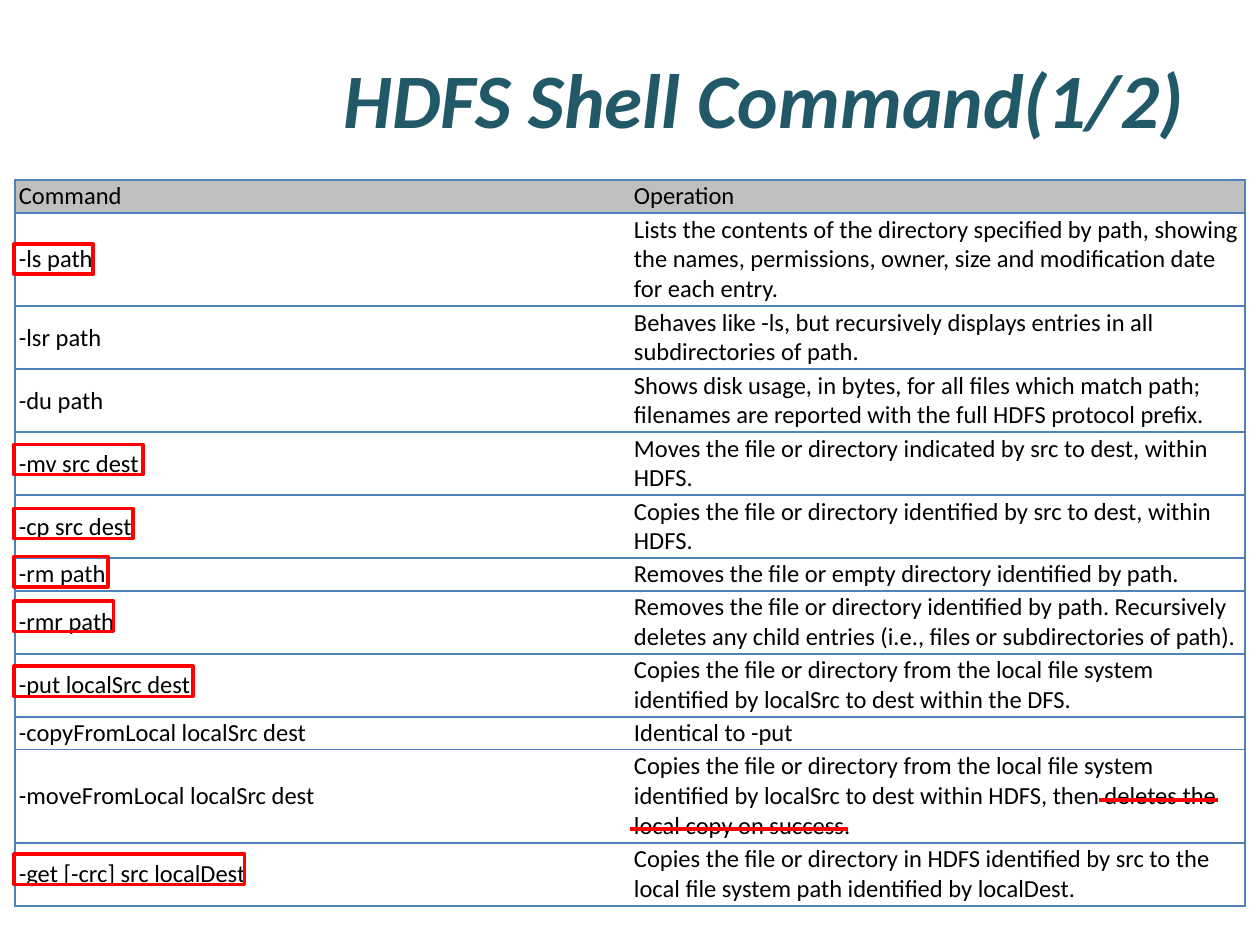
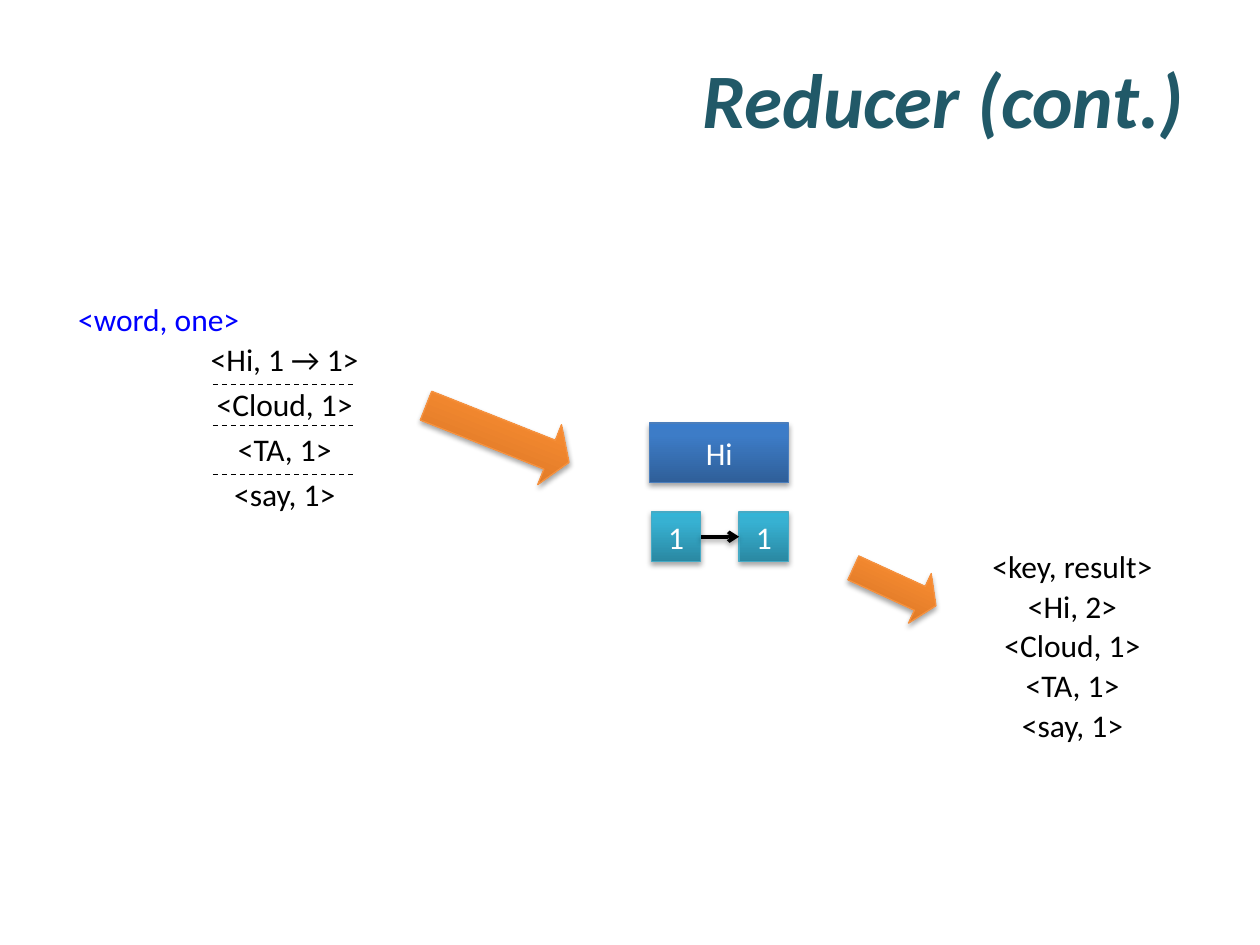
"""Builds two slides: a table of HDFS shell commands and a reducer diagram."""
from lxml.etree import SubElement as add_element
from pptx import Presentation
from pptx.dml.color import RGBColor
from pptx.enum.dml import MSO_LINE_DASH_STYLE as Dash
from pptx.enum.shapes import MSO_CONNECTOR as Connector, MSO_SHAPE as Shape
from pptx.enum.text import MSO_ANCHOR as Anchor, PP_ALIGN as Align
from pptx.oxml import parse_xml
from pptx.oxml.ns import nsdecls, qn
from pptx.util import Cm, Pt

FONT = "Calibri"
TITLE, BLACK, WHITE, RED, BLUE = "215968", "000000", "FFFFFF", "FF0000", "0000FF"
HEADER_FILL, TABLE_BORDER = "BFBFBF", "4F81BD"
ORANGE_BLEND = ("CC6E20", "FF9034", "FF9136", "F69240")
BLUE_BLEND = ("2F5F99", "3D7CC7", "3A7CCB", "4B7EBC")
TEAL_BLEND = ("2A88A2", "37B1D2", "34B4D6", "46AAC5")

ROW_HEIGHTS = {1: 0.66, 2: 1.27, 3: 1.88}
COMMANDS = [
    ("Command", "Operation", 1),
    ("-ls path", "Lists the contents of the directory specified by path, showing the names, "
     "permissions, owner, size and modification date for each entry.", 3),
    ("-lsr path", "Behaves like -ls, but recursively displays entries in all "
     "subdirectories of path.", 2),
    ("-du path", "Shows disk usage, in bytes, for all files which match path; "
     "filenames are reported with the full HDFS protocol prefix.", 2),
    ("-mv src dest", "Moves the file or directory indicated by src to dest, within HDFS.", 2),
    ("-cp src dest", "Copies the file or directory identified by src to dest, within HDFS.", 2),
    ("-rm path", "Removes the file or empty directory identified by path.", 1),
    ("-rmr path", "Removes the file or directory identified by path. Recursively deletes "
     "any child entries (i.e., files or subdirectories of path).", 2),
    ("-put localSrc dest", "Copies the file or directory from the local file system "
     "identified by localSrc to dest within the DFS.", 2),
    ("-copyFromLocal localSrc dest", "Identical to -put", 1),
    ("-moveFromLocal localSrc dest", "Copies the file or directory from the local file system "
     "identified by localSrc to dest within HDFS, then deletes the local copy on success.", 3),
    ("-get [-crc] src localDest", "Copies the file or directory in HDFS identified by src "
     "to the local file system path identified by localDest.", 2),
]
HIGHLIGHTS = [(4.92, 1.6), (8.96, 2.6), (10.25, 2.4), (11.22, 1.9),
              (12.12, 2.01), (13.43, 3.61), (17.22, 4.65)]
MAPPED_PAIRS = [("<Hi, 1 → 1>", 3.53), ("<Cloud, 1>", 3.3), ("<TA, 1>", 2.41), ("<say, 1>", 2.57)]
REDUCED_PAIRS = [("<key, result>", 3.78), ("<Hi, 2>", 2.34), ("<Cloud, 1>", 3.3),
                 ("<TA, 1>", 2.41), ("<say, 1>", 2.57)]


def color(value):
    """Turn a hex string into a colour."""
    return RGBColor.from_string(value)


def write(frame, text, size=18, fill=BLACK, bold=False, italic=False, align=Align.LEFT):
    """Put formatted text into the first paragraph of a frame."""
    para = frame.paragraphs[0]
    para.alignment = align
    span = para.add_run()
    span.text = text
    font = span.font
    font.name, font.size, font.bold, font.italic = FONT, Pt(size), bold, italic
    font.color.rgb = color(fill)


def shadow_xml(alpha, distance):
    """Return a soft shadow that falls straight down."""
    return parse_xml(
        f'<a:effectLst {nsdecls("a")}><a:outerShdw blurRad="{Pt(3.1)}" dist="{Pt(distance)}" '
        f'dir="5400000" rotWithShape="0"><a:srgbClr val="{BLACK}"><a:alpha val="{alpha}000"/>'
        '</a:srgbClr></a:outerShdw></a:effectLst>')


def blend_xml(colors):
    """Return a gradient that runs from the bottom up."""
    stops = "".join(f'<a:gs pos="{place}000"><a:srgbClr val="{value}"/></a:gs>'
                    for place, value in zip((0, 80, 100), colors))
    return parse_xml(f'<a:gradFill {nsdecls("a")} rotWithShape="1"><a:gsLst>{stops}</a:gsLst>'
                     '<a:lin ang="16200000" scaled="0"/></a:gradFill>')


def edge_xml(side, visible):
    """Return one cell border."""
    paint = f'<a:solidFill><a:srgbClr val="{TABLE_BORDER}"/></a:solidFill>' if visible else "<a:noFill/>"
    return parse_xml(f'<a:ln{side} {nsdecls("a")} w="{Pt(1)}">{paint}</a:ln{side}>')


class SlideBuilder:
    """Holds the deck, its style and the current page."""

    def __init__(self):
        """Open an empty 4:3 deck."""
        self.deck = Presentation()
        self.deck.slide_width, self.deck.slide_height = Cm(25.4), Cm(19.05)
        self.page = None

    def start_page(self, title):
        """Add a blank page with its title."""
        self.page = self.deck.slides.add_slide(self.deck.slide_layouts[6])
        box = self.page.shapes.add_textbox(Cm(1.27), Cm(0.76), Cm(22.86), Cm(2.41))
        box.text_frame.word_wrap = True
        box.text_frame.vertical_anchor = Anchor.MIDDLE
        write(box.text_frame, title, size=44, fill=TITLE, bold=True, italic=True, align=Align.RIGHT)

    def label(self, text, center, top, width, fill=BLACK):
        """Add a one-line label centred on a given place."""
        box = self.page.shapes.add_textbox(Cm(center - width / 2), Cm(top), Cm(width), Cm(1.02))
        box.text_frame.word_wrap = False
        write(box.text_frame, text, fill=fill, align=Align.CENTER)

    def outline(self, left, top, width, height):
        """Add a hollow red frame."""
        frame = self.page.shapes.add_shape(Shape.RECTANGLE, Cm(left), Cm(top), Cm(width), Cm(height))
        frame.shadow.inherit = False
        frame.fill.background()
        frame.line.color.rgb = color(RED)
        frame.line.width = Pt(2)

    def glossy(self, kind, left, top, width, height, blend, text=None):
        """Add a shape with a gradient and a shadow."""
        shape = self.page.shapes.add_shape(kind, Cm(left), Cm(top), Cm(width), Cm(height))
        *stops, edge = blend
        shape.line.color.rgb = color(edge)
        shape.line.width = Pt(0.75)
        properties = shape.element.spPr
        properties.find(qn("a:ln")).addprevious(blend_xml(stops))
        properties.append(shadow_xml(35, 1.8))
        if text:
            shape.text_frame.vertical_anchor = Anchor.MIDDLE
            write(shape.text_frame, text, fill=WHITE, align=Align.CENTER)
        return shape

    def block_arrow(self, left, top, width, height, angle):
        """Add a tilted orange arrow."""
        arrow = self.glossy(Shape.RIGHT_ARROW, left, top, width, height, ORANGE_BLEND)
        arrow.adjustments[0], arrow.adjustments[1] = 0.48, 0.323
        arrow.rotation = angle

    def rule(self, left, right, level, stroke=BLACK, width=0.75, dash=None, arrow=False):
        """Add a horizontal line, with an arrowhead and shadow if asked."""
        line = self.page.shapes.add_connector(
            Connector.STRAIGHT, Cm(left), Cm(level), Cm(right), Cm(level))
        line.line.color.rgb = color(stroke)
        line.line.width = Pt(width)
        if dash:
            line.line.dash_style = dash
        properties = line.element.spPr
        if arrow:
            add_element(properties.find(qn("a:ln")), qn("a:tailEnd"), type="arrow")
            properties.append(shadow_xml(38, 1.6))
        else:
            add_element(properties, qn("a:effectLst"))

    def table(self, rows, left, top, column_width):
        """Add a two-column table whose rows give both texts and a line count."""
        heights = [ROW_HEIGHTS[lines] for *_, lines in rows]
        table = self.page.shapes.add_table(len(rows), 2, Cm(left), Cm(top),
                                           Cm(2 * column_width), Cm(sum(heights))).table
        table.first_row = table.horz_banding = False
        for column in table.columns:
            column.width = Cm(column_width)
        for index, (*texts, _) in enumerate(rows):
            table.rows[index].height = Cm(heights[index])
            for side, text in enumerate(texts):
                self.cell(table.cell(index, side), text, WHITE if index else HEADER_FILL,
                          "RTB" if side else "LTB")

    def cell(self, cell, text, fill, edges):
        """Fill one table cell and draw its borders."""
        cell.margin_left = cell.margin_right = Cm(0.08)
        cell.margin_top = cell.margin_bottom = Cm(0.03)
        cell.vertical_anchor = Anchor.MIDDLE
        cell.fill.solid()
        cell.fill.fore_color.rgb = color(fill)
        write(cell.text_frame, text, size=14)
        properties = cell._tc.get_or_add_tcPr()
        for place, side in enumerate("LRTB"):
            properties.insert(place, edge_xml(side, side in edges))


def build_commands(builder):
    """Build the page of shell commands."""
    builder.start_page("HDFS Shell Command(1/2)")
    builder.table(COMMANDS, 0.3, 3.63, 12.4)
    for top, width in HIGHLIGHTS:
        builder.outline(0.28, top, width, 0.61)
    for left, right, level in [(22.15, 24.56, 16.13), (12.7, 17.1, 16.72)]:
        builder.rule(left, right, level, stroke=RED, width=2.25)


def build_reducer(builder):
    """Build the page that shows how pairs are reduced."""
    builder.start_page("Reducer (cont.)")
    builder.label("<word, one>", 3.2, 5.92, 3.81, fill=BLUE)
    for index, (text, width) in enumerate(MAPPED_PAIRS):
        builder.label(text, 5.74, 6.73 + 0.91 * index, width)
    for level in (7.75, 8.58, 9.57):
        builder.rule(4.29, 7.11, level, dash=Dash.DASH)
    builder.block_arrow(8.48, 8.1, 3.1, 1.3, 21.6)
    builder.glossy(Shape.RECTANGLE, 13.1, 8.53, 2.8, 1.2, BLUE_BLEND, "Hi")
    for left in (13.13, 14.9):
        builder.glossy(Shape.RECTANGLE, left, 10.32, 1, 1, TEAL_BLEND, "1")
    builder.rule(14.13, 14.9, 10.82, width=2, arrow=True)
    for index, (text, width) in enumerate(REDUCED_PAIRS):
        builder.label(text, 21.62, 10.9 + 0.8 * index, width)
    builder.block_arrow(17.12, 11.28, 1.83, 1.1, 24.6)


def main():
    """Build and save the deck."""
    builder = SlideBuilder()
    build_commands(builder)
    build_reducer(builder)
    builder.deck.save("out.pptx")


if __name__ == "__main__":
    main()
